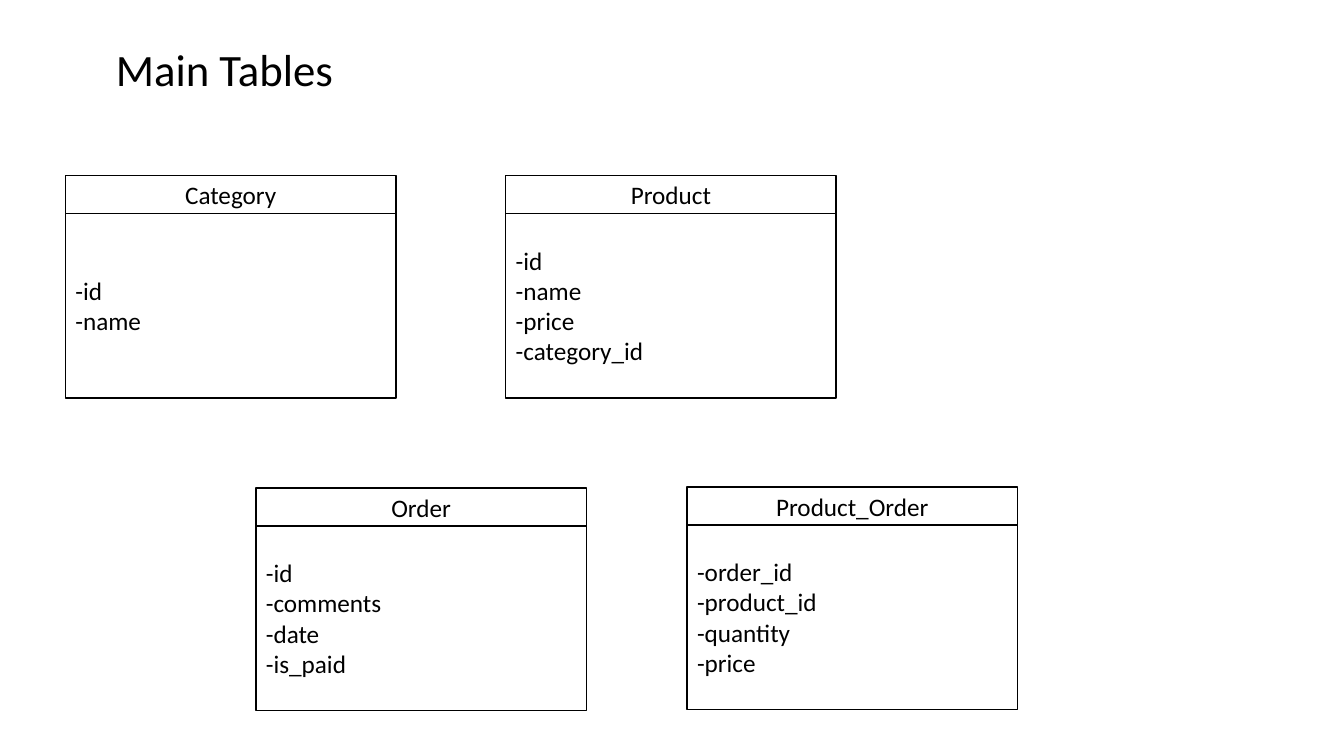
from dataclasses import dataclass

from pptx import Presentation
from pptx import util as u
from pptx.dml.color import RGBColor
from pptx.enum import shapes, text

PX = u.Inches(1) // 100
CARD_WIDTH = 328
HEADER_HEIGHT = 38
FIELDS_OFFSET = 37
FIELDS_HEIGHT = 184

ENTITIES = [
    ("Product", 502, 174, ["id", "name", "price", "category_id"]),
    ("Product_Order", 682, 483, ["order_id", "product_id", "quantity", "price"]),
    ("Order", 254, 484, ["id", "comments", "date", "is_paid"]),
    ("Category", 65, 174, ["id", "name"]),
]


@dataclass(frozen=True)
class Theme:
    ink: RGBColor = RGBColor(0, 0, 0)
    paper: RGBColor = RGBColor(255, 255, 255)
    font: str = "Calibri"
    title_size: int = 32
    body_size: int = 18
    border: int = 1


THEME = Theme()


def px(*lengths):
    return [length * PX for length in lengths]


def write_lines(frame, lines, size, align, anchor):
    frame.text = "\n".join(lines)
    frame.word_wrap = True
    frame.auto_size = text.MSO_AUTO_SIZE.NONE
    frame.vertical_anchor = anchor
    for paragraph in frame.paragraphs:
        paragraph.alignment = align
        paragraph.font.name = THEME.font
        paragraph.font.size = u.Pt(size)
        paragraph.font.color.rgb = THEME.ink


def set_title(slide, wording):
    title = slide.shapes.title
    title.left, title.top, title.width, title.height = px(105, 36, 562, 64)
    write_lines(title.text_frame, [wording], THEME.title_size,
                text.PP_ALIGN.LEFT, text.MSO_ANCHOR.TOP)


def add_cell(card, left, top, height, lines, align):
    cell = card.shapes.add_shape(shapes.MSO_SHAPE.RECTANGLE,
                                 *px(left, top, CARD_WIDTH, height))
    cell.shadow.inherit = False
    cell.fill.solid()
    cell.fill.fore_color.rgb = THEME.paper
    cell.line.color.rgb = THEME.ink
    cell.line.width = u.Pt(THEME.border)
    write_lines(cell.text_frame, lines, THEME.body_size, align,
                text.MSO_ANCHOR.MIDDLE)


def add_entity(slide, name, left, top, fields):
    card = slide.shapes.add_group_shape()
    add_cell(card, left, top + FIELDS_OFFSET, FIELDS_HEIGHT,
             [f"-{field}" for field in fields], text.PP_ALIGN.LEFT)
    add_cell(card, left, top, HEADER_HEIGHT, [name], text.PP_ALIGN.CENTER)


def main():
    deck = Presentation()
    deck.slide_width, deck.slide_height = px(1334, 750)
    slide = deck.slides.add_slide(deck.slide_layouts.get_by_name("Title Only"))
    set_title(slide, "Main Tables")
    for entity in ENTITIES:
        add_entity(slide, *entity)
    deck.save("out.pptx")


if __name__ == "__main__":
    main()
